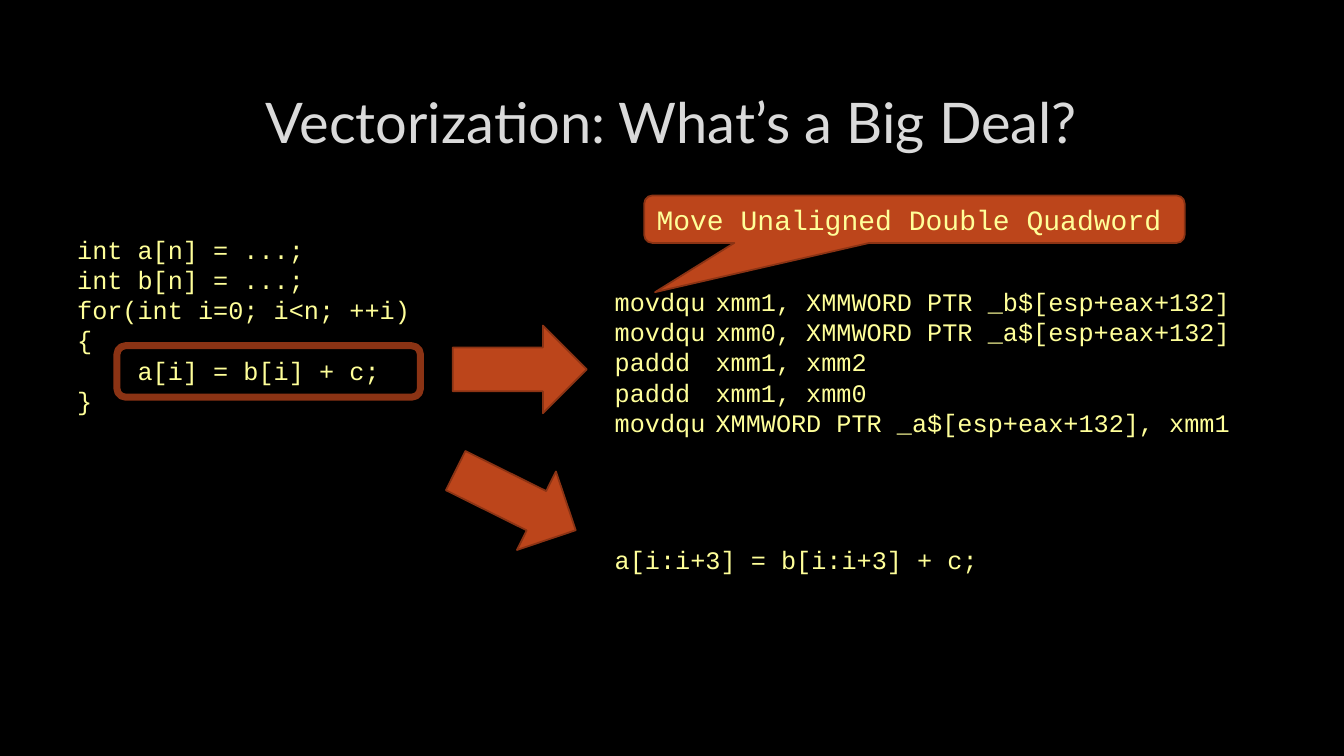
from pptx import Presentation
from pptx.dml.color import RGBColor as RGB
from pptx.enum.shapes import MSO_SHAPE as SHAPE
from pptx.enum.text import MSO_ANCHOR as ANCHOR, PP_ALIGN as ALIGN
from pptx.util import Inches, Pt

COLORS = {"back": "000000", "title": "DADADA", "code": "FFFF99",
          "rust": "BC451B", "edge": "8B3314"}
W, H = 13.33, 7.5
TITLE = "Vectorization: What’s a Big Deal?"
CALLOUT = "Move Unaligned Double Quadword"
LEFT, RIGHT = 0.05 * W, 0.45 * W
CODE = [
    ((LEFT, 0.3 * H, 3.92, 1.92), [
        "int a[n] = ...;",
        "int b[n] = ...;",
        "for(int i=0; i<n; ++i)",
        "{",
        "    a[i] = b[i] + c;",
        "}"]),
    ((RIGHT, 2.77, 6.83, 1.62), [
        "movdqu\txmm1, XMMWORD PTR _b$[esp+eax+132]",
        "movdqu\txmm0, XMMWORD PTR _a$[esp+eax+132]",
        "paddd\txmm1, xmm2",
        "paddd\txmm1, xmm0",
        "movdqu\tXMMWORD PTR _a$[esp+eax+132], xmm1"]),
    ((RIGHT, 5.33, 5.17, 0.71), ["a[i:i+3] = b[i:i+3] + c;"]),
]
ARROW_SIZE = (1.33, 0.87)
ARROWS = [((4.49, 3.23), 0), ((4.45, 4.53), 26.4)]
TITLE_FONT = {"name": "Lato", "size": Pt(40)}
CODE_FONT = {"name": "Courier New", "size": Pt(18)}
CALLOUT_FONT = {"name": "Courier New", "size": Pt(20)}


def rgb(key):
    return RGB.from_string(COLORS[key])


def write(tf, lines, font, color, align=ALIGN.LEFT, spacing=None):
    tf.word_wrap = True
    for i, line in enumerate(lines):
        p = tf.paragraphs[0] if i == 0 else tf.add_paragraph()
        p.alignment = align
        p.line_spacing = spacing
        r = p.add_run()
        r.text = line
        for key, value in font.items():
            setattr(r.font, key, value)
        r.font.color.rgb = rgb(color)


def add_text(s, box):
    return s.shapes.add_textbox(*map(Inches, box)).text_frame


def add_figure(s, kind, box, fill="rust", width=1.25):
    sp = s.shapes.add_shape(kind, *map(Inches, box))
    sp.shadow.inherit = False
    if fill:
        sp.fill.solid()
        sp.fill.fore_color.rgb = rgb(fill)
    else:
        sp.fill.background()
    sp.line.color.rgb = rgb("edge")
    sp.line.width = Pt(width)
    return sp


def main():
    prs = Presentation()
    prs.slide_width, prs.slide_height = Inches(W), Inches(H)
    s = prs.slides.add_slide(prs.slide_layouts[6])
    s.background.fill.solid()
    s.background.fill.fore_color.rgb = rgb("back")

    tf = add_text(s, (1, 0.67, 11.32, 1.06))
    tf.vertical_anchor = ANCHOR.MIDDLE
    write(tf, [TITLE], TITLE_FONT, "title", ALIGN.CENTER)

    for box, lines in CODE:
        tf = add_text(s, box)
        tf.margin_top = Inches(0.07)
        write(tf, lines, CODE_FONT, "code", spacing=Pt(21.6))

    for place, angle in ARROWS:
        add_figure(s, SHAPE.RIGHT_ARROW, place + ARROW_SIZE).rotation = angle

    add_figure(s, SHAPE.ROUNDED_RECTANGLE, (1.16, 3.43, 3.01, 0.51), None, 5)

    callout = add_figure(s, SHAPE.ROUNDED_RECTANGULAR_CALLOUT,
                         (6.39, 1.94, 5.36, 0.47))
    for i, value in enumerate((-0.48, 1.54, 0.17)):
        callout.adjustments[i] = value
    callout.text_frame.vertical_anchor = ANCHOR.MIDDLE
    write(callout.text_frame, [CALLOUT], CALLOUT_FONT, "code")

    prs.save("out.pptx")


if __name__ == "__main__":
    main()
